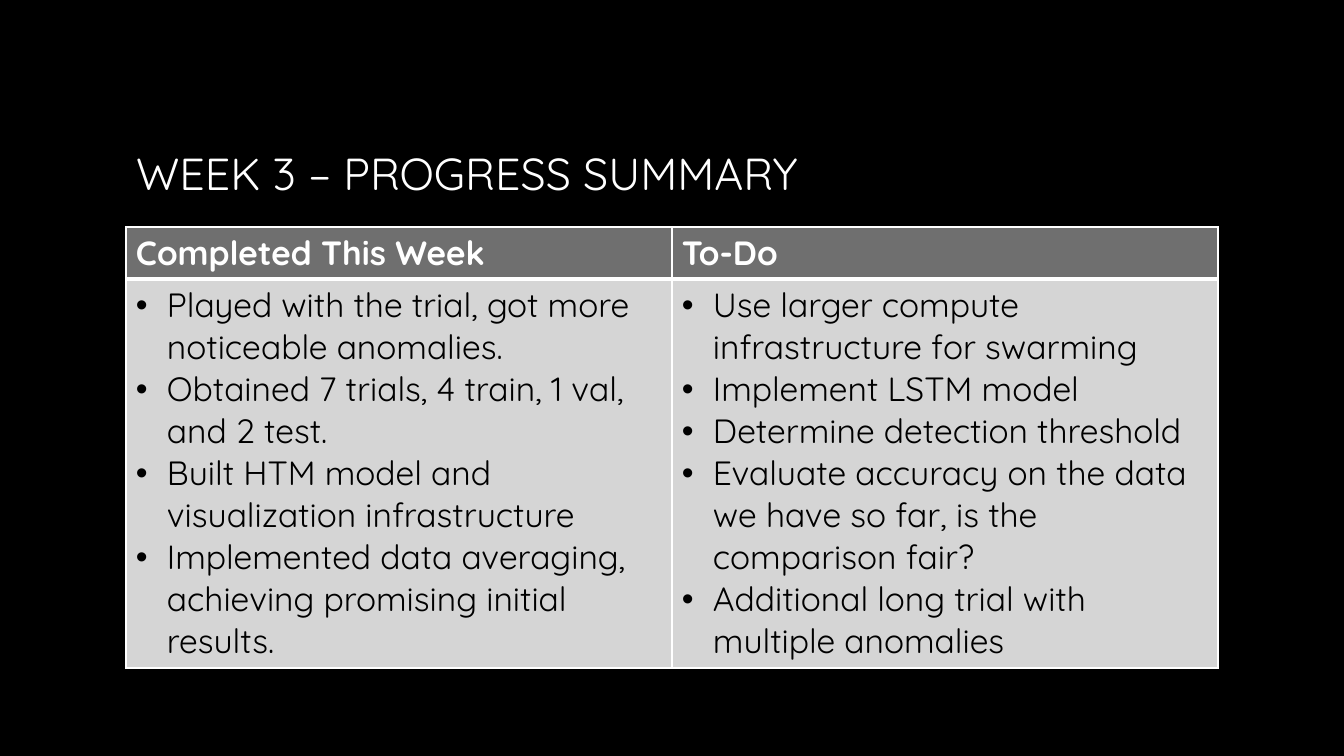
from dataclasses import dataclass

from lxml import etree
from pptx import Presentation
from pptx.dml.color import RGBColor
from pptx.enum.text import MSO_ANCHOR, MSO_AUTO_SIZE, PP_ALIGN
from pptx.oxml.ns import qn
from pptx.util import Pt

LEFT = PP_ALIGN.LEFT
MIDDLE = MSO_ANCHOR.MIDDLE
NO_FIT = MSO_AUTO_SIZE.NONE

TITLE = "WEEK 3 – PROGRESS SUMMARY"
COLUMNS = [
    ("Completed This Week", [
        "Played with the trial, got more noticeable anomalies.",
        "Obtained 7 trials, 4 train, 1 val, and 2 test.",
        "Built HTM model and visualization infrastructure",
        "Implemented data averaging, achieving promising initial results.",
    ]),
    ("To-Do", [
        "Use larger compute infrastructure for swarming",
        "Implement LSTM model",
        "Determine detection threshold",
        "Evaluate accuracy on the data we have so far, is the comparison fair?",
        "Additional long trial with multiple anomalies",
    ]),
]


@dataclass(frozen=True)
class Theme:
    font: str = "Quicksand"
    back: str = "000000"
    light: str = "FFFFFF"
    dark: str = "000000"
    head: str = "6F6F6F"
    body: str = "D5D5D5"
    title: int = 32
    text: int = 24
    thin: int = 1
    thick: int = 3


THEME = Theme()
SCALE = 914400 / 100.8
WIDTH, HEIGHT = 1344, 756
MARGIN = 126
SPAN = WIDTH - 2 * MARGIN
TITLE_TOP, TITLE_HIGH = 68, 210
TABLE_TOP = 227
ROWS = [52, 389]
PAD_X, PAD_Y = 10, 5
INDENT = 31


def px(size):
    return round(size * SCALE)


def rgb(color):
    return RGBColor.from_string(color)


def write(frame, lines, size, color, bold=False, bullet=False):
    frame.word_wrap = True
    for i, line in enumerate(lines):
        para = frame.add_paragraph() if i else frame.paragraphs[0]
        para.alignment = LEFT
        run = para.add_run()
        run.text = line
        run.font.name = THEME.font
        run.font.size = Pt(size)
        run.font.bold = bold
        run.font.color.rgb = rgb(color)
        if bullet:
            props = para._p.get_or_add_pPr()
            props.set("marL", str(px(INDENT)))
            props.set("indent", str(-px(INDENT)))
            etree.SubElement(props, qn("a:buFont"), typeface="Arial")
            etree.SubElement(props, qn("a:buChar"), char="•")


def border(cell, **widths):
    props = cell._tc.get_or_add_tcPr()
    for i, side in enumerate("LRTB"):
        width = Pt(widths.get(side, THEME.thin))
        line = etree.Element(qn("a:ln" + side), w=str(width))
        fill = etree.SubElement(line, qn("a:solidFill"))
        etree.SubElement(fill, qn("a:srgbClr"), val=THEME.light)
        props.insert(i, line)


def style(cell, color):
    cell.margin_left = cell.margin_right = px(PAD_X)
    cell.margin_top = cell.margin_bottom = px(PAD_Y)
    cell.fill.solid()
    cell.fill.fore_color.rgb = rgb(color)


def add_title(slide):
    title = slide.shapes.title
    title.left, title.top = px(MARGIN), px(TITLE_TOP)
    title.width, title.height = px(SPAN), px(TITLE_HIGH)
    frame = title.text_frame
    frame.auto_size = NO_FIT
    frame.vertical_anchor = MIDDLE
    write(frame, [TITLE], THEME.title, THEME.light)


def add_grid(slide):
    table = slide.shapes.add_table(
        len(ROWS), len(COLUMNS), px(MARGIN), px(TABLE_TOP), px(SPAN), px(sum(ROWS))
    ).table
    for row, high in zip(table.rows, ROWS):
        row.height = px(high)
    for col, (label, items) in enumerate(COLUMNS):
        table.columns[col].width = px(SPAN / len(COLUMNS))
        head, body = table.cell(0, col), table.cell(1, col)
        style(head, THEME.head)
        border(head, B=THEME.thick)
        write(head.text_frame, [label], THEME.text, THEME.light, bold=True)
        style(body, THEME.body)
        border(body, T=THEME.thick)
        write(body.text_frame, items, THEME.text, THEME.dark, bullet=True)


def main():
    deck = Presentation()
    deck.slide_width, deck.slide_height = px(WIDTH), px(HEIGHT)
    slide = deck.slides.add_slide(deck.slide_layouts[5])
    slide.background.fill.solid()
    slide.background.fill.fore_color.rgb = rgb(THEME.back)
    add_title(slide)
    add_grid(slide)
    deck.save("out.pptx")


if __name__ == "__main__":
    main()
